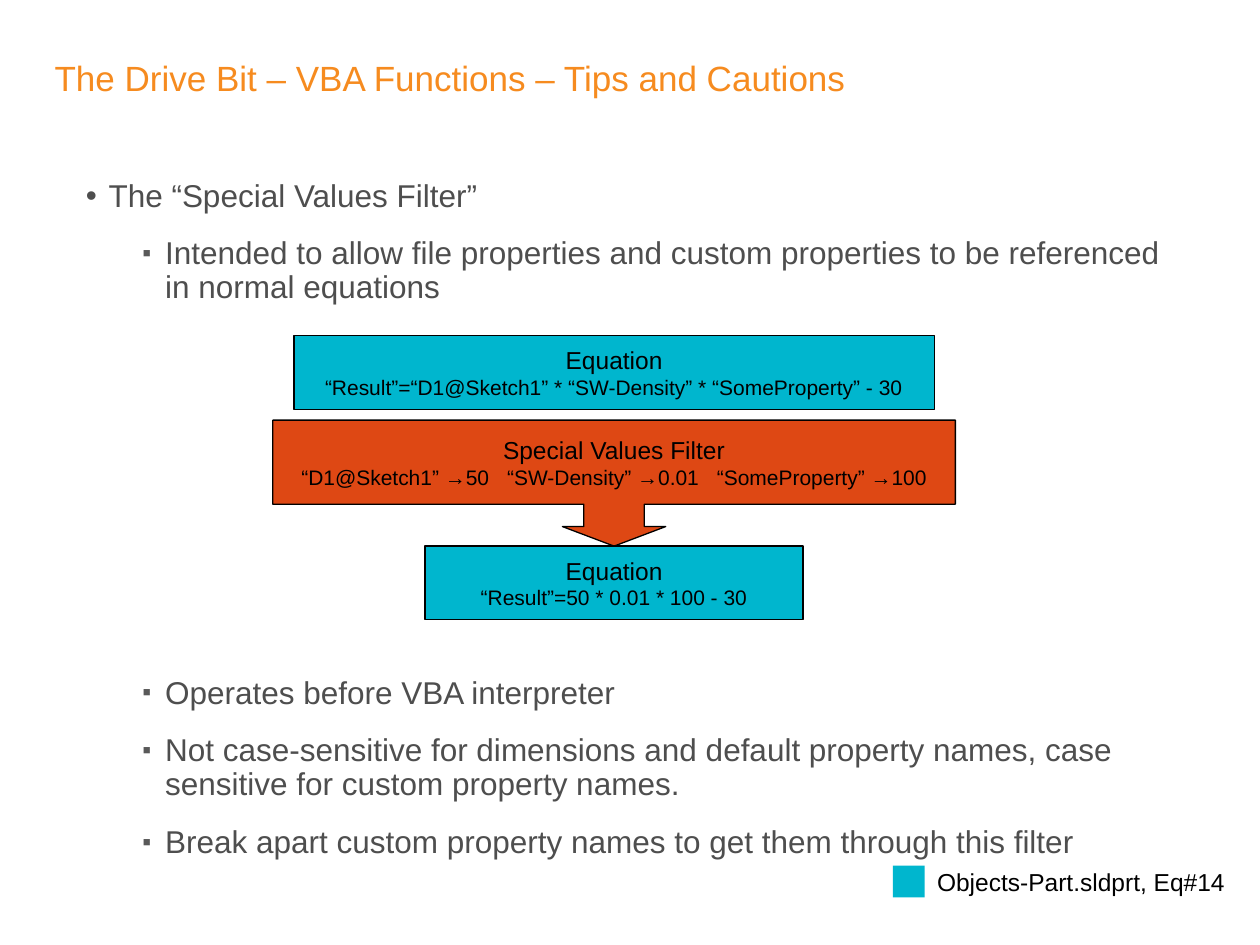
from pptx import Presentation
from pptx.dml.color import RGBColor
from pptx.enum.shapes import MSO_SHAPE
from pptx.enum.text import MSO_ANCHOR, PP_ALIGN
from pptx.oxml.ns import qn
from pptx.util import Cm, Pt
from lxml import etree

RECT = MSO_SHAPE.RECTANGLE
CALLOUT = MSO_SHAPE.DOWN_ARROW_CALLOUT
MIDDLE, BOTTOM = MSO_ANCHOR.MIDDLE, MSO_ANCHOR.BOTTOM
CENTER = PP_ALIGN.CENTER

COLORS = {
    "title": "F68B1F",
    "body": "4E4E4E",
    "sub_bullet": "595959",
    "equation": "00B6CE",
    "filter": "DE4814",
    "black": "000000",
}
# Per level: bullet, its colour and size in %, left margin in cm, line spacing, space before
LEVELS = [
    ("•", "body", 100, 0.46, 1.05, 0),
    ("▪", "sub_bullet", 80, 1.6, 0.9, 9),
]
HANGING = 0.46


def rgb(name):
    return RGBColor.from_string(COLORS[name])


def style(font, size, color):
    font.name, font.size = "Arial", Pt(size)
    font.color.rgb = rgb(color)


def add_text(s, box, text, size, color, anchor):
    tf = s.shapes.add_textbox(*map(Cm, box)).text_frame
    tf.word_wrap = True
    tf.vertical_anchor = anchor
    tf.text = text
    style(tf.paragraphs[0].runs[0].font, size, color)


def add_block(s, shape_type, box, fill, outlined=True):
    sp = s.shapes.add_shape(shape_type, *map(Cm, box))
    sp.shadow.inherit = False
    sp.fill.solid()
    sp.fill.fore_color.rgb = rgb(fill)
    if outlined:
        sp.line.color.rgb = rgb("black")
        sp.line.width = Pt(0.75)
    else:
        sp.line.fill.background()
    return sp


def set_bullet(p, char, color, percent, margin):
    pPr = p._p.get_or_add_pPr()
    pPr.set("marL", str(Cm(margin)))
    pPr.set("indent", str(-Cm(HANGING)))
    bu_color = etree.SubElement(pPr, qn("a:buClr"))
    etree.SubElement(bu_color, qn("a:srgbClr"), val=COLORS[color])
    etree.SubElement(pPr, qn("a:buSzPct"), val=str(percent * 1000))
    etree.SubElement(pPr, qn("a:buFont"), typeface="Arial")
    etree.SubElement(pPr, qn("a:buChar"), char=char)


def add_bullets(s, box, items):
    tf = s.shapes.add_textbox(*map(Cm, box)).text_frame
    tf.word_wrap = True
    for i, (level, text) in enumerate(items):
        p = tf.add_paragraph() if i else tf.paragraphs[0]
        p.text = text
        char, color, percent, margin, spacing, before = LEVELS[level]
        p.level = level
        set_bullet(p, char, color, percent, margin)
        p.line_spacing = spacing
        p.space_before = Pt(before if i else 0)
        p.space_after = Pt(4.5)
        style(p.runs[0].font, 18, "body")


def label_block(sp, heading, parts):
    """Heading over a line of parts, set apart by one widened space."""
    tf = sp.text_frame
    tf.word_wrap = False
    tf.vertical_anchor = MIDDLE
    tf.text = heading
    detail = tf.add_paragraph()
    for i, part in enumerate(parts):
        if i:
            gap = detail.add_run()
            gap.text = " "
            gap.font._element.set("spc", "670")
        detail.add_run().text = part
    for p, size in zip(tf.paragraphs, (14, 12)):
        p.alignment = CENTER
        for r in p.runs:
            style(r.font, size, "black")


def add_filter_diagram(s, box):
    left, top, width, height = box
    block_h, callout_h = 1.48, 2.54

    def centered(w, y, h):
        return left + (width - w) / 2, y, w, h

    # Equation before the filter
    before = add_block(s, RECT, centered(12.91, top, block_h), "equation")
    label_block(before, "Equation",
                ["“Result”=“D1@Sketch1” * “SW-Density” * “SomeProperty” - 30"])

    # Filter, pointing down at the result
    result_y = top + height - block_h
    callout = add_block(s, CALLOUT, centered(width, result_y - callout_h, callout_h), "filter")
    for i, value in enumerate((0.48, 0.41, 0.155, 0.667)):
        callout.adjustments[i] = value
    label_block(callout, "Special Values Filter",
                ["“D1@Sketch1” →50", "“SW-Density” →0.01", "“SomeProperty” →100"])

    # Equation after the filter
    after = add_block(s, RECT, centered(7.62, result_y, block_h), "equation")
    label_block(after, "Equation", ["“Result”=50 * 0.01 * 100 - 30"])


def add_file_reference(s, box, text):
    left, top, width, height = box
    marker = 0.64
    add_block(s, RECT, (left, top + (height - marker) / 2, marker, marker),
              "equation", outlined=False)
    add_text(s, (left + marker, top, width - marker, height), text, 14, "black", MIDDLE)


def main():
    prs = Presentation()
    prs.slide_width, prs.slide_height = Cm(25.4), Cm(19.05)
    s = prs.slides.add_slide(prs.slide_layouts[6])

    # Title
    add_text(s, (0.85, 0.42, 19.05, 1.69),
             "The Drive Bit – VBA Functions – Tips and Cautions", 20, "title", BOTTOM)

    # Bullets above and below the diagram
    add_bullets(s, (1.48, 3.39, 22.43, 3), [
        (0, "The “Special Values Filter”"),
        (1, "Intended to allow file properties and custom properties "
            "to be referenced in normal equations"),
    ])
    add_bullets(s, (1.48, 13.52, 22.43, 4.2), [
        (1, "Operates before VBA interpreter"),
        (1, "Not case-sensitive for dimensions and default property names, "
            "case sensitive for custom property names."),
        (1, "Break apart custom property names to get them through this filter"),
    ])

    add_filter_diagram(s, (5.5, 6.77, 13.76, 5.72))
    add_file_reference(s, (18, 17.34, 7.2, 0.86), "Objects-Part.sldprt, Eq#14")

    prs.save("out.pptx")


if __name__ == "__main__":
    main()
